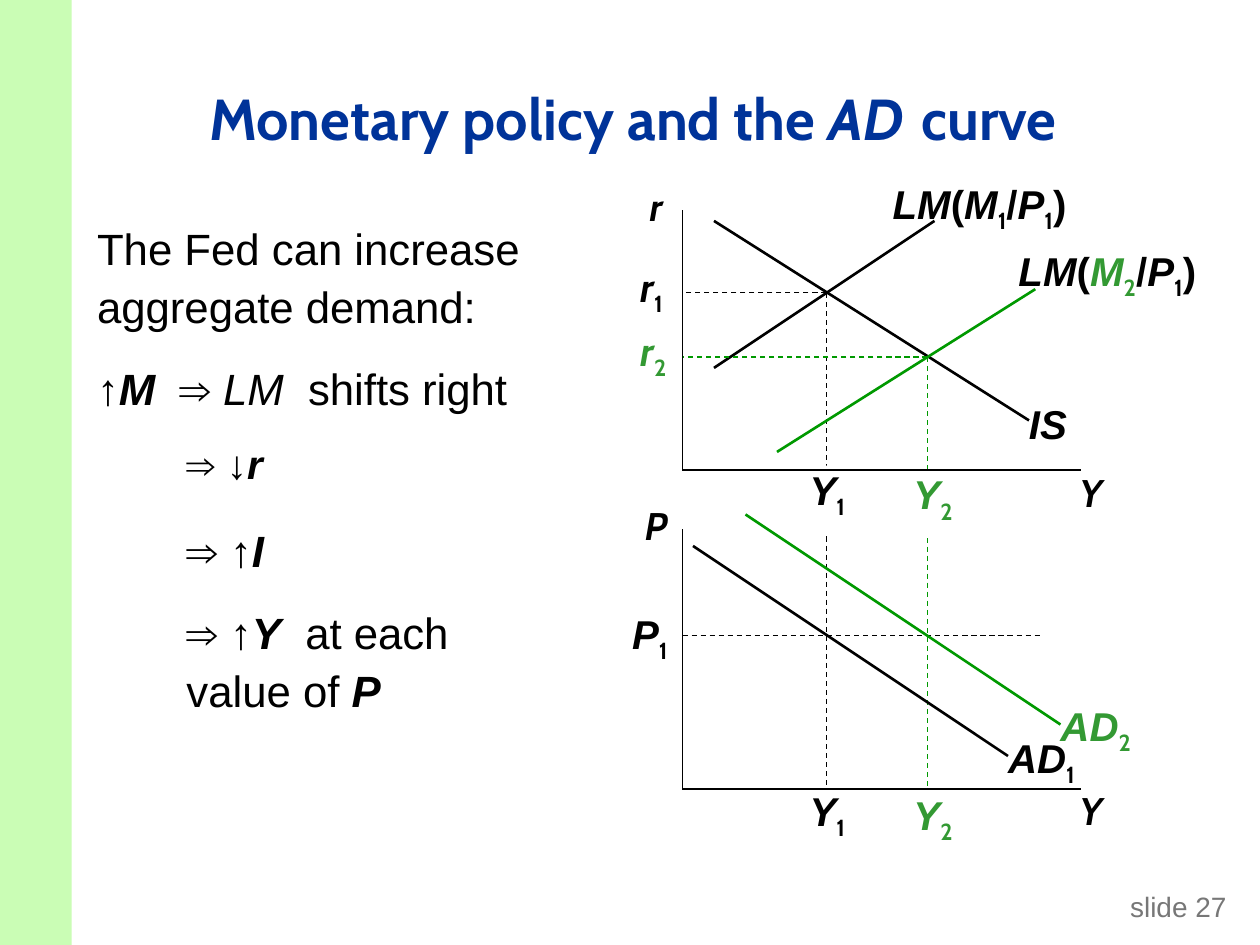
from itertools import groupby

from lxml import etree
from pptx import Presentation
from pptx import util as u
from pptx.dml.color import RGBColor
from pptx.enum import dml, shapes, text
from pptx.oxml import ns

BLACK = RGBColor(0, 0, 0)
WHITE = RGBColor(255, 255, 255)
NAVY = RGBColor(0x00, 0x33, 0x99)
GRAY = RGBColor(0x77, 0x77, 0x77)
CURVE_GREEN = RGBColor(0x00, 0x99, 0x00)
LABEL_GREEN = RGBColor(0x33, 0x99, 0x33)
SIDEBAR_GREEN = RGBColor(0xCA, 0xFD, 0xB5)

CELL = u.Inches(1 / 12)
PANEL_PITCH = 30.36     # rows from the top of one panel to the next
AXIS_COL, AXIS_TOP, AXIS_ROW, AXIS_END = 5, 3, 27.75, 43
Y1_COL, Y2_COL = 18.72, 28.35
R1_ROW, R2_ROW, P1_ROW = 10.84, 16.96, 13.1


def add_run(paragraph, words, size, font="Arial", color=BLACK, style=""):
    """Style holds any of b (bold), i (italic) and s (subscript)."""
    run = paragraph.add_run()
    run.text = words
    run.font.size, run.font.name = u.Pt(size), font
    run.font.bold, run.font.italic = "b" in style, "i" in style
    run.font.color.rgb = color
    if "s" in style:
        run.font._element.set("baseline", "-25000")


def set_frame(frame, across=0, down=0, anchor=text.MSO_ANCHOR.TOP):
    frame.margin_left = frame.margin_right = u.Inches(across)
    frame.margin_top = frame.margin_bottom = u.Inches(down)
    frame.word_wrap = True
    frame.auto_size = text.MSO_AUTO_SIZE.NONE
    frame.vertical_anchor = anchor


def place(shape, left, top, width, height):
    shape.left, shape.top = u.Inches(left), u.Inches(top)
    shape.width, shape.height = u.Inches(width), u.Inches(height)


class Panel:
    """A graph on a grid of cells that starts at the given corner."""

    def __init__(self, slide, left, top):
        self.slide, self.left, self.top = slide, left, top

    def at(self, col, row):
        return int(self.left + col * CELL), int(self.top + row * CELL)

    def line(self, start, end, color=BLACK, width=1.5, dashed=False):
        line = self.slide.shapes.add_connector(
            shapes.MSO_CONNECTOR.STRAIGHT, *self.at(*start), *self.at(*end))
        line.line.color.rgb = color
        line.line.width = u.Pt(width)
        if dashed:
            line.line.dash_style = dml.MSO_LINE.DASH
        etree.SubElement(line._element.spPr, ns.qn("a:effectLst"))

    def guide(self, start, end, color=BLACK):
        self.line(start, end, color, 0.75, dashed=True)

    def label(self, col, row, cols, *pieces, font="Arial", size=23,
              rows=5.3, fill=None, centered=False):
        """Write (words, color) pieces: italic letters, subscript digits."""
        box = self.slide.shapes.add_textbox(
            *self.at(col, row), int(cols * CELL), int(rows * CELL))
        if fill is not None:
            box.fill.solid()
            box.fill.fore_color.rgb = fill
        set_frame(box.text_frame)
        paragraph = box.text_frame.paragraphs[0]
        if centered:
            paragraph.alignment = text.PP_ALIGN.CENTER
        for words, color in pieces:
            for kind, letters in groupby(words, lambda c: "i" * c.isalpha() or "s" * c.isdigit()):
                face = "Cabin" if kind == "s" else font
                add_run(paragraph, "".join(letters), size, face, color, "b" + kind)

    def axes(self, vertical_name):
        origin = (AXIS_COL, AXIS_ROW)
        self.line((AXIS_COL, AXIS_TOP), origin, width=1)
        self.line(origin, (AXIS_END, AXIS_ROW), width=1)
        for col, row, cols, name in ((0, 0.4, 5, vertical_name), (41, 27.6, 5.8, "Y")):
            self.label(col, row, cols, (name, BLACK), font="Cabin", size=22,
                       centered=True)


def add_output_guides(panel):
    """Dashed lines of both outputs, through the upper and the lower panel."""
    for name, col, row, label_col, label_row, line_color, color in (
            ("Y1", Y1_COL, R1_ROW, 17.1, 27.3, BLACK, BLACK),
            ("Y2", Y2_COL, R2_ROW, 27, 27.7, CURVE_GREEN, LABEL_GREEN)):
        panel.guide((col, row), (col, PANEL_PITCH + AXIS_ROW), line_color)
        panel.label(label_col, label_row, 5, (name, color), rows=6.5, fill=WHITE)
        panel.label(label_col, PANEL_PITCH + label_row + 0.15, 5, (name, color))


def add_is_lm_panel(panel):
    panel.line((8, 4), (38, 23))
    panel.label(38, 21, 4, ("IS", BLACK))
    panel.label(37, 6.4, 19, ("LM(", BLACK), ("M2", LABEL_GREEN), ("/P1)", BLACK),
                fill=WHITE)
    panel.line((14, 26), (38.6, 10.5), CURVE_GREEN)
    panel.label(25, 0, 22, ("LM(M1/P1)", BLACK))
    panel.line((8, 18), (29, 4))
    for name, col, row, line_color, color in (
            ("r1", Y1_COL, R1_ROW, BLACK, BLACK),
            ("r2", Y2_COL, R2_ROW, CURVE_GREEN, LABEL_GREEN)):
        panel.guide((col, row), (AXIS_COL, row), line_color)
        panel.label(1, row - 2.9, 5, (name, color), font="Cabin")
    panel.axes("r")


def add_ad_panel(panel):
    panel.guide((AXIS_COL, P1_ROW), (39, P1_ROW))
    panel.label(0.2, P1_ROW - 2.5, 5, ("P1", BLACK))
    for name, col, row, line_color, color in (
            ("AD1", 6, 4.6, BLACK, BLACK),
            ("AD2", 11, 1.6, CURVE_GREEN, LABEL_GREEN)):
        panel.line((col, row), (col + 30, row + 20), line_color)
        panel.label(col + 30, row + 17.8, 9, (name, color))
    panel.axes("P")


def add_title(title):
    place(title, 1.66, 0.26, 7.87, 1.31)
    set_frame(title.text_frame, anchor=text.MSO_ANCHOR.MIDDLE)
    paragraph = title.text_frame.paragraphs[0]
    paragraph.alignment = text.PP_ALIGN.LEFT
    paragraph.line_spacing = 1.05
    for words, size, style in (("Monetary policy and the ", 33, "b"), ("AD", 33, "bi"),
                               (" ", 11, "b"), (" curve", 33, "b")):
        add_run(paragraph, words, size, "Cabin", NAVY, style)


def add_chain_of_effects(body):
    place(body, 0.67, 1.67, 4.08, 4.14)
    set_frame(body.text_frame, 0.1, 0.05)
    # indent, space before, line spacing, size, runs
    steps = (
        (0, 14, 1.1, 25, [("The Fed can increase aggregate demand:", "")]),
        (0, 14, 1.1, 25, [("↑", ""), ("M  ", "bi"), ("⇒ ", ""), ("LM", "i"),
                          ("  shifts right", "")]),
        (0.71, 14, 1, 23, [("⇒ ↓", ""), ("r", "bi")]),
        (0.71, 18, 1.1, 25, [("⇒ ↑", ""), ("I", "bi")]),
        (0.71, 14, 1.1, 25, [("⇒ ↑", ""), ("Y", "bi"), ("  at each", ""), None,
                             ("value of ", ""), ("P", "bi")]),
    )
    for number, (indent, before, spacing, size, runs) in enumerate(steps):
        frame = body.text_frame
        paragraph = frame.add_paragraph() if number else frame.paragraphs[0]
        paragraph.space_before = u.Pt(before)
        paragraph.line_spacing = spacing
        properties = paragraph._p.get_or_add_pPr()
        properties.set("marL", str(u.Inches(indent)))
        properties.set("indent", "0")
        etree.SubElement(properties, ns.qn("a:buNone"))
        for run in runs:
            if run is None:
                paragraph.add_line_break()
            else:
                add_run(paragraph, run[0], size, style=run[1])


def add_frame(slide):
    """Sidebar and slide number."""
    sidebar = slide.shapes.add_shape(
        shapes.MSO_SHAPE.RECTANGLE, 0, 0, u.Inches(0.57), u.Inches(7.5))
    sidebar.shadow.inherit = False
    sidebar.fill.solid()
    sidebar.fill.fore_color.rgb = SIDEBAR_GREEN
    sidebar.line.fill.background()
    number = slide.shapes.add_textbox(0, 0, 0, 0)
    place(number, 8.97, 7.06, 0.94, 0.32)
    set_frame(number.text_frame)
    add_run(number.text_frame.paragraphs[0], "slide 27", 16, color=GRAY)


def main():
    deck = Presentation()
    deck.slide_width, deck.slide_height = u.Inches(10), u.Inches(7.5)
    slide = deck.slides.add_slide(deck.slide_layouts[1])
    add_frame(slide)
    add_title(slide.shapes.title)
    add_chain_of_effects(slide.placeholders[1])
    left, top = u.Inches(5), u.Inches(1.42)
    upper = Panel(slide, left, top)
    lower = Panel(slide, left, top + PANEL_PITCH * CELL)
    add_output_guides(upper)
    add_is_lm_panel(upper)
    add_ad_panel(lower)
    deck.save("out.pptx")


if __name__ == "__main__":
    main()
